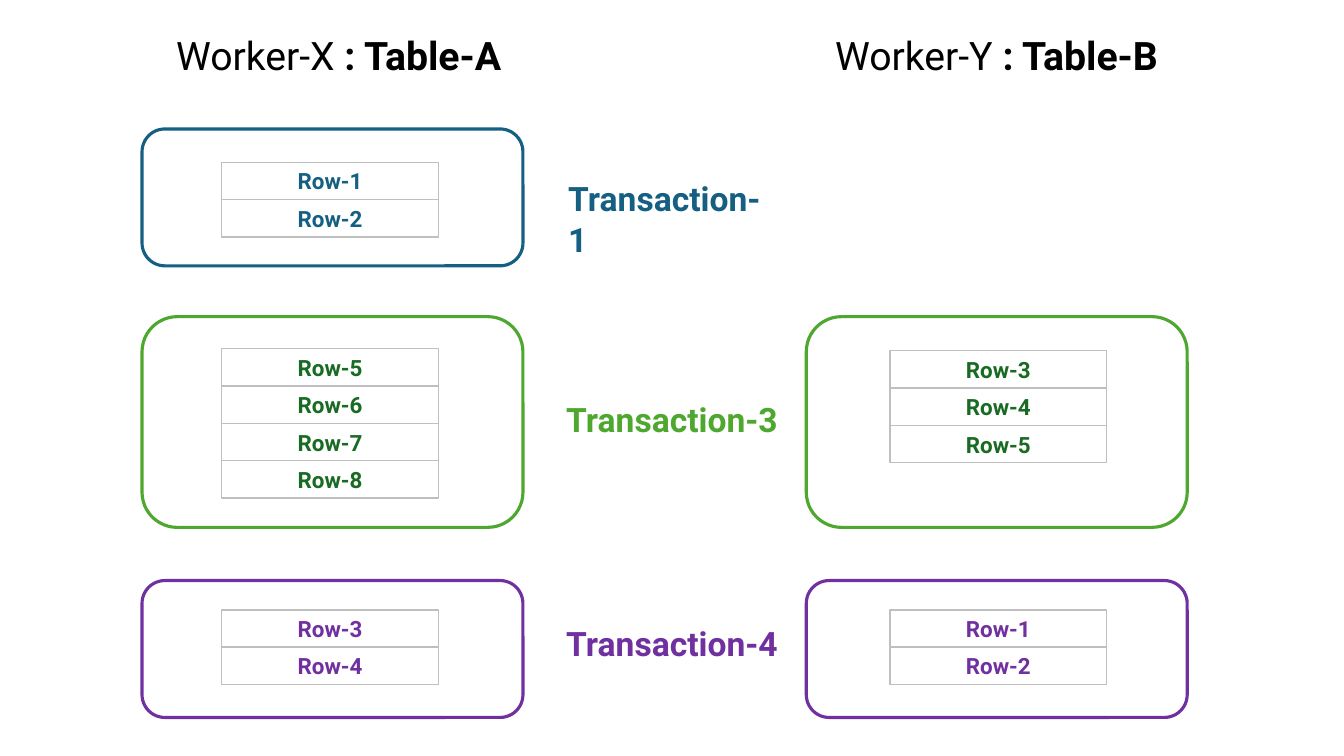
from pptx import Presentation
from pptx import util as u
from pptx.dml.color import RGBColor
from pptx.enum import shapes, text

COLORS = {
    "black": "000000",
    "grid": "BFBFBF",
    "blue": "156082",
    "green": "4EA72E",
    "dark green": "196B24",
    "purple": "7030A0",
}
FRAME_LEFT = {"X": 3.58, "Y": 20.32}
ROW_LEFT = {"X": 5.59, "Y": 22.43}
FRAME_WIDTH, ROW_WIDTH, ROW_HEIGHT = 9.6, 5.46, 0.94

HEADINGS = [
    ("Worker-X", " : Table-A", (4.19, 0.66, 8.71, 1.45)),
    ("Worker-Y", " : Table-B", (20.8, 0.66, 9.27, 1.45)),
]
TRANSACTIONS = [
    {"label": "Transaction-1", "label_at": (14.07, 4.37, 5.72, 1.27),
     "color": "blue", "row_color": "blue", "top": 3.25, "height": 3.45,
     "rows": {"X": (4.09, 1, 2)}},
    {"label": "Transaction-3", "label_at": (14.02, 9.93, 6.22, 1.27),
     "color": "green", "row_color": "dark green", "top": 7.98, "height": 5.31,
     "rows": {"X": (8.79, 5, 8), "Y": (8.84, 3, 5)}},
    {"label": "Transaction-4", "label_at": (14.02, 15.57, 6.22, 1.27),
     "color": "purple", "row_color": "purple", "top": 14.63, "height": 3.45,
     "rows": {"X": (15.37, 3, 4), "Y": (15.37, 1, 2)}},
]


class Painter:
    font = "Roboto"

    def __init__(self, page):
        self.page = page

    def fill_text(self, box, spans, size, color, align=text.PP_ALIGN.LEFT):
        frame = box.text_frame
        frame.word_wrap = True
        frame.auto_size = text.MSO_AUTO_SIZE.SHAPE_TO_FIT_TEXT
        para = frame.paragraphs[0]
        para.alignment = align
        for words, bold in spans:
            span = para.add_run()
            span.text = words
            style = {"name": self.font, "size": u.Pt(size), "bold": bold}
            for key, value in style.items():
                setattr(span.font, key, value)
            span.font.color.rgb = RGBColor.from_string(COLORS[color])

    def label(self, place, spans, size, color):
        box = self.page.shapes.add_textbox(*map(u.Cm, place))
        self.fill_text(box, spans, size, color)

    def outline(self, kind, place, color, width):
        box = self.page.shapes.add_shape(kind, *map(u.Cm, place))
        box.shadow.inherit = False
        box.fill.background()
        box.line.color.rgb = RGBColor.from_string(COLORS[color])
        box.line.width = u.Pt(width)
        return box

    def frame(self, place, color):
        self.outline(shapes.MSO_SHAPE.ROUNDED_RECTANGLE, place, color, 2.25)

    def rows(self, left, top, first, last, color):
        for index, number in enumerate(range(first, last + 1)):
            place = (left, top + index * ROW_HEIGHT, ROW_WIDTH, ROW_HEIGHT)
            box = self.outline(shapes.MSO_SHAPE.RECTANGLE, place, "grid", 1)
            self.fill_text(box, [(f"Row-{number}", True)], 16, color, text.PP_ALIGN.CENTER)


def main():
    deck = Presentation()
    deck.slide_width, deck.slide_height = u.Cm(33.87), u.Cm(19.05)
    painter = Painter(deck.slides.add_slide(deck.slide_layouts[6]))

    for worker, table, place in HEADINGS:
        painter.label(place, [(worker, False), (table, True)], 28, "black")

    for item in TRANSACTIONS:
        painter.label(item["label_at"], [(item["label"], True)], 24, item["color"])
        for worker, (top, first, last) in item["rows"].items():
            place = (FRAME_LEFT[worker], item["top"], FRAME_WIDTH, item["height"])
            painter.frame(place, item["color"])
            painter.rows(ROW_LEFT[worker], top, first, last, item["row_color"])

    deck.save("out.pptx")


if __name__ == "__main__":
    main()
